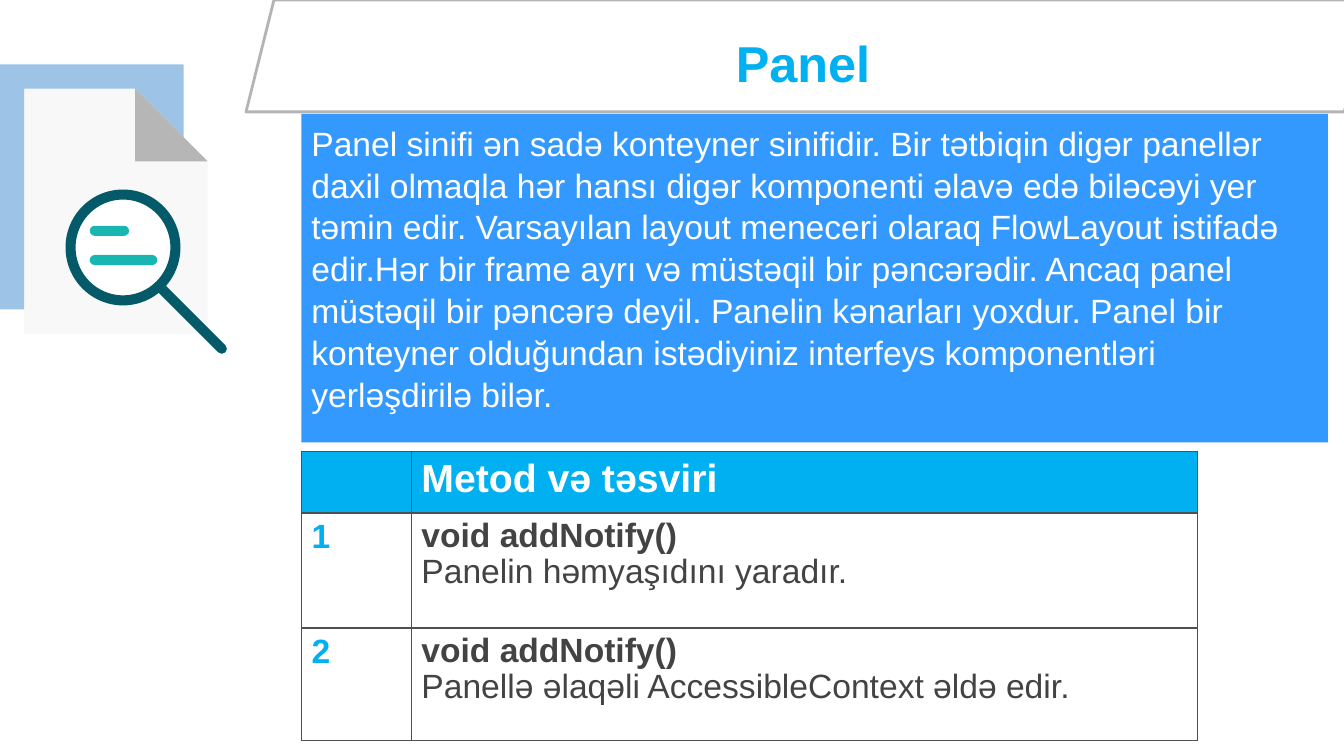
from dataclasses import dataclass

from lxml import etree
from pptx import Presentation
from pptx.dml.color import RGBColor
from pptx.enum import shapes as kinds, text as layout
from pptx.oxml import ns
from pptx.util import Pt

PX = 9144


@dataclass(frozen=True)
class Theme:
    font: str = "Arial"
    accent: str = "00B0F0"
    white: str = "FFFFFF"
    panel: str = "3399FF"
    ink: str = "434343"
    border: str = "505050"
    banner_edge: str = "B4B4B4"
    page: str = "F8F8F8"
    fold: str = "B6B6B6"
    backdrop: str = "9DC3E6"
    lens: str = "045A68"
    bar: str = "19B5B1"
    title_size: int = 36
    header_size: int = 28
    body_size: int = 24


THEME = Theme()
BODY = (
    "Panel sinifi ən sadə konteyner sinifidir. Bir tətbiqin digər panellər daxil "
    "olmaqla hər hansı digər komponenti əlavə edə biləcəyi yer təmin edir. Varsayılan "
    "layout meneceri olaraq FlowLayout istifadə edir.Hər bir frame ayrı və müstəqil bir "
    "pəncərədir. Ancaq panel müstəqil bir pəncərə deyil. Panelin kənarları yoxdur. Panel "
    "bir konteyner olduğundan istədiyiniz interfeys komponentləri yerləşdirilə bilər."
)
METHODS = [
    ("void addNotify()", "Panelin həmyaşıdını yaradır."),
    ("void addNotify()", "Panellə əlaqəli AccessibleContext əldə edir."),
]


def emu(*lengths):
    return [length * PX for length in lengths]


def apply(target, values):
    for name, value in values.items():
        setattr(target, name, value)


def paint(shape, fill, line=None, width=0):
    shape.shadow.inherit = False
    shape.fill.solid()
    shape.fill.fore_color.rgb = RGBColor.from_string(fill)
    if line:
        shape.line.color.rgb = RGBColor.from_string(line)
        shape.line.width = Pt(width)
    else:
        shape.line.fill.background()


def add_shape(slide, kind, box, fill, line=None, width=0):
    shape = slide.shapes.add_shape(kind, *emu(*box))
    paint(shape, fill, line, width)
    return shape


def add_outline(slide, points, fill):
    builder = slide.shapes.build_freeform(*points[0], scale=PX)
    builder.add_line_segments(points[1:], close=True)
    paint(builder.convert_to_shape(), fill)


def write(frame, lines, spacing=1.0):
    frame.word_wrap = True
    for index, (words, size, color, bold) in enumerate(lines):
        paragraph = frame.add_paragraph() if index else frame.paragraphs[0]
        apply(paragraph, {"alignment": layout.PP_ALIGN.LEFT, "line_spacing": spacing})
        run = paragraph.add_run()
        run.text = words
        apply(run.font, {"name": THEME.font, "size": Pt(size), "bold": bold})
        run.font.color.rgb = RGBColor.from_string(color)


def add_banner(slide, box):
    left, top, width, height = box
    banner = add_shape(slide, kinds.MSO_SHAPE.PARALLELOGRAM, box, THEME.white, THEME.banner_edge, 2)
    banner.adjustments[0] = 0.25
    title = slide.shapes.add_textbox(*emu(left + 476, top + 27, 600, 71))
    write(title.text_frame, [("Panel", THEME.title_size, THEME.accent, True)])


def add_document_icon(slide, box):
    left, top, width, height = box
    offset, fold = 24, 72
    right, bottom = left + width, top + height
    page_left, page_top = left + offset, top + offset
    page_right, page_bottom = right + offset, bottom + offset
    fold_left, fold_bottom = page_right - fold, page_top + fold
    add_outline(
        slide,
        [(page_left, page_top), (page_left, page_bottom), (page_right, page_bottom),
         (page_right, fold_bottom), (fold_left, page_top)],
        THEME.page,
    )
    add_outline(
        slide,
        [(left, top), (left, bottom), (page_left, bottom), (page_left, page_top),
         (fold_left, page_top), (right, page_top + right - fold_left), (right, top)],
        THEME.backdrop,
    )
    add_outline(
        slide,
        [(fold_left, page_top), (fold_left, fold_bottom), (page_right, fold_bottom)],
        THEME.fold,
    )
    add_magnifier(slide, (left + 70, top + 129, 104, 105))


def add_magnifier(slide, box):
    left, top, width, height = box
    stroke = 7.2
    handle = slide.shapes.add_connector(
        kinds.MSO_CONNECTOR.STRAIGHT,
        *emu(left + 87, top + 90, left + 150, top + 153),
    )
    handle.line.color.rgb = RGBColor.from_string(THEME.lens)
    handle.line.width = Pt(stroke)
    handle.line._get_or_add_ln().set("cap", "rnd")
    etree.SubElement(handle._element.spPr, ns.qn("a:effectLst"))
    add_shape(slide, kinds.MSO_SHAPE.OVAL, box, THEME.white, THEME.lens, stroke)
    for bar_top, bar_width in ((31, 39), (60, 67)):
        bar = add_shape(
            slide, kinds.MSO_SHAPE.ROUNDED_RECTANGLE,
            (left + 19, top + bar_top, bar_width, 10), THEME.bar,
        )
        bar.adjustments[0] = 0.5


def add_description(slide, box):
    panel = add_shape(slide, kinds.MSO_SHAPE.RECTANGLE, box, THEME.panel)
    apply(panel.text_frame, {"vertical_anchor": layout.MSO_ANCHOR.TOP, "margin_top": 7 * PX})
    write(panel.text_frame, [(BODY, THEME.body_size, THEME.white, False)], 1.04)


def style_cell(cell, fill):
    properties = cell._tc.get_or_add_tcPr()
    for side in ("lnL", "lnR", "lnT", "lnB"):
        line = etree.SubElement(properties, ns.qn(f"a:{side}"), w=str(Pt(1)))
        solid = etree.SubElement(line, ns.qn("a:solidFill"))
        etree.SubElement(solid, ns.qn("a:srgbClr"), val=THEME.border)
    cell.fill.solid()
    cell.fill.fore_color.rgb = RGBColor.from_string(fill)


def add_methods_table(slide, box):
    table = slide.shapes.add_table(len(METHODS) + 1, 2, *emu(*box)).table
    apply(table, {"first_row": False, "horz_banding": False})
    for column, width in zip(table.columns, (109, box[2] - 109)):
        column.width = width * PX
    for row, height in zip(table.rows, (61, 114, 112)):
        row.height = height * PX
    for index, row in enumerate(table.rows):
        for cell in row.cells:
            style_cell(cell, THEME.white if index else THEME.accent)
    header = [("Metod və təsviri", THEME.header_size, THEME.white, True)]
    write(table.cell(0, 1).text_frame, header)
    for number, (signature, summary) in enumerate(METHODS, 1):
        size = THEME.body_size
        write(table.cell(number, 0).text_frame, [(str(number), size, THEME.accent, True)])
        lines = [(signature, size, THEME.ink, True), (summary, size, THEME.ink, False)]
        write(table.cell(number, 1).text_frame, lines, 0.97)


def main():
    presentation = Presentation()
    apply(presentation, {"slide_width": 1333 * PX, "slide_height": 750 * PX})
    slide = presentation.slides.add_slide(presentation.slide_layouts[6])
    add_banner(slide, (244, 0, 1117, 111))
    add_document_icon(slide, (0, 64, 182, 243))
    add_description(slide, (299, 113, 1018, 326))
    add_methods_table(slide, (299, 448, 889, 287))
    presentation.save("out.pptx")


if __name__ == "__main__":
    main()
